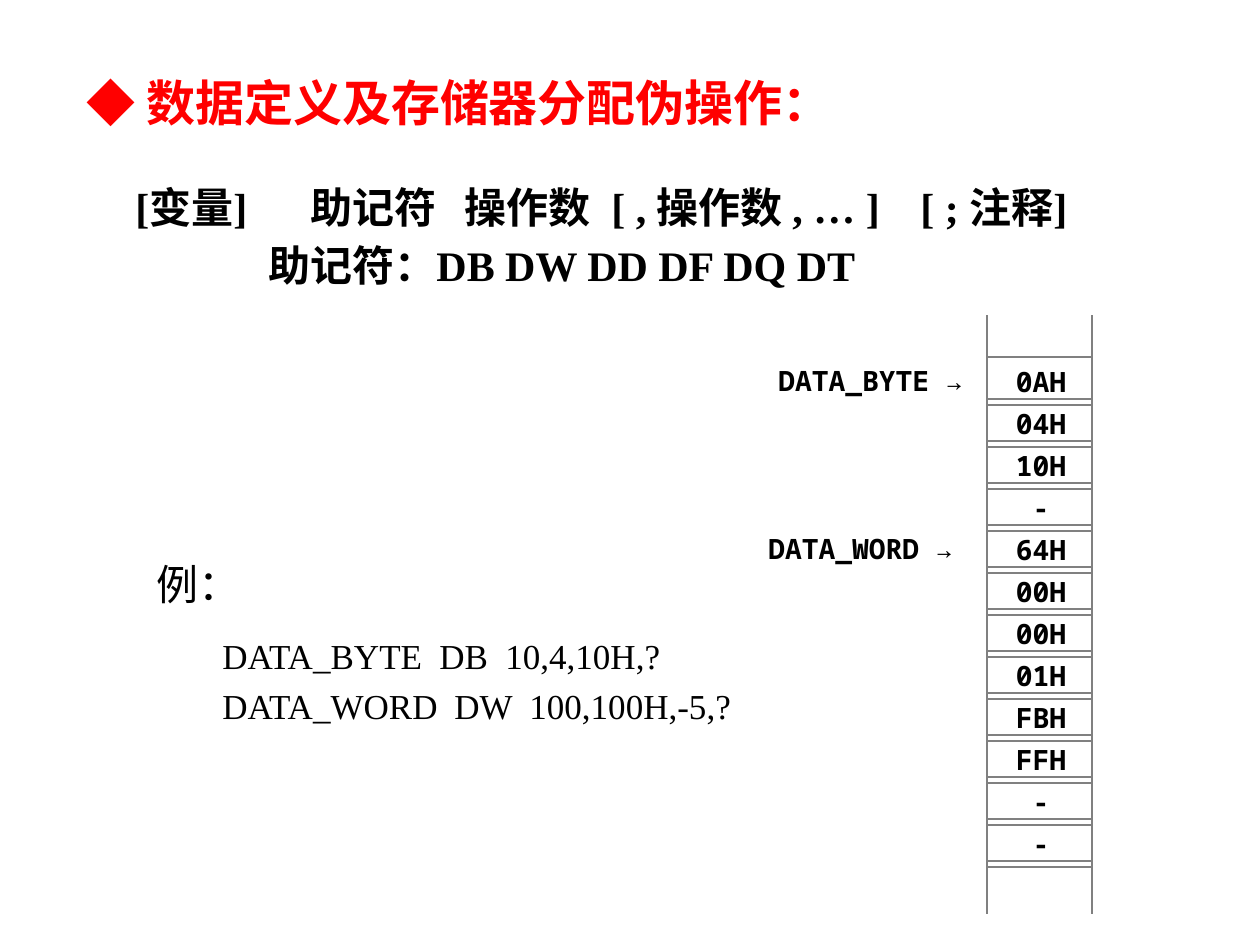
import pptx
import pptx.util
import pptx.dml.color
import pptx.enum.shapes
import pptx.enum.text
import lxml.etree

EMU_PER_PIXEL = 914400 / 126
SERIF = "Times New Roman"
MONO = "Noto Sans Mono"
BLACK = "000000"
RED = "FF0000"
GRAY = "808080"
CELL_VALUES = ["0AH", "04H", "10H", "-", "64H", "00H", "00H", "01H",
               "FBH", "FFH", "-", "-"]


def px(length):
    """Turn pixels into EMU."""
    return pptx.util.Emu(round(length * EMU_PER_PIXEL))


def color(value):
    """Turn a hex string into a colour."""
    return pptx.dml.color.RGBColor.from_string(value)


def format_line(line):
    """Make a line thin and gray."""
    line.color.rgb = color(GRAY)
    line.width = pptx.util.Pt(1)


def format_runs(para, font, size, ink, bold):
    """Set the font of every run in a paragraph."""
    for span in para.runs:
        span.font.name = font
        span.font.size = pptx.util.Pt(size)
        span.font.color.rgb = color(ink)
        span.font.bold = bold


def add_tabs(para, stops):
    """Give a paragraph left tab stops."""
    namespace = "{http://schemas.openxmlformats.org/drawingml/2006/main}"
    properties = para._p.get_or_add_pPr()
    tabs = lxml.etree.SubElement(properties, namespace + "tabLst")
    for stop in stops:
        lxml.etree.SubElement(tabs, namespace + "tab", pos=str(px(stop)), algn="l")


def add_text(page, box, lines, font, size, ink=BLACK, bold=False, spacing=1.0):
    """Add a text box and return its paragraphs."""
    frame = page.shapes.add_textbox(*map(px, box)).text_frame
    frame.word_wrap = True
    frame.text = "\n".join(lines)
    for para in frame.paragraphs:
        para.line_spacing = spacing
        format_runs(para, font, size, ink, bold)
    return frame.paragraphs


def add_syntax(page, box):
    """Add the statement format and the list of mnemonics."""
    lines = ["[变量]\t助记符\t操作数\t[ , 操作数 , … ]\t[ ; 注释]",
             "助记符：DB DW DD DF DQ DT"]
    statement, mnemonics = add_text(page, box, lines, SERIF, 24, bold=True, spacing=1.15)
    add_tabs(statement, [175, 329, 476, 785])
    mnemonics._p.get_or_add_pPr().set("marL", str(px(133)))


def add_example(page, box):
    """Add the example heading and its two definitions."""
    left, top, width, height = box
    add_text(page, (left, top, 168, 63), ["例："], SERIF, 24)
    lines = ["DATA_BYTE\tDB\t10,4,10H,?", "DATA_WORD\tDW\t100,100H,-5,?"]
    code_box = (left + 66, top + 68, width - 66, height - 68)
    paras = add_text(page, code_box, lines, SERIF, 20, spacing=1.2)
    for para, stops in zip(paras, [(217, 283), (232, 307)]):
        add_tabs(para, stops)


def add_cell(group, box, value=""):
    """Add one outlined rectangle with an optional value."""
    cell = group.shapes.add_shape(
        pptx.enum.shapes.MSO_SHAPE.RECTANGLE, *map(px, box))
    cell.shadow.inherit = False
    cell.fill.background()
    format_line(cell.line)
    if value:
        frame = cell.text_frame
        frame.margin_left, frame.margin_right = px(16), px(13)
        frame.vertical_anchor = pptx.enum.text.MSO_ANCHOR.MIDDLE
        frame.text = value
        para = frame.paragraphs[0]
        para.alignment = pptx.enum.text.PP_ALIGN.CENTER
        format_runs(para, MONO, 16, BLACK, True)


def add_side(group, x, top, height):
    """Add one vertical line that continues the memory column."""
    side = group.shapes.add_connector(
        pptx.enum.shapes.MSO_CONNECTOR.STRAIGHT, px(x), px(top), px(x), px(top + height))
    format_line(side.line)
    lxml.etree.SubElement(
        side._element.spPr,
        "{http://schemas.openxmlformats.org/drawingml/2006/main}effectLst")


def add_memory(page, box):
    """Add the memory column with its open ends and address labels."""
    left, top, width, height = box
    step, side_height = 42, 53
    first = top + step
    group = page.shapes.add_group_shape()
    for index, value in enumerate(CELL_VALUES):
        y = first + index * step
        add_cell(group, (left, y, width, step))
        add_cell(group, (left, y, width, step + 6), value)
    for x in (left + width, left):
        for y in (top, top + height - side_height):
            add_side(group, x, y, side_height)
    for name, index, offset in [("DATA_BYTE", 0, 221), ("DATA_WORD", 4, 231)]:
        label_box = (left - offset, first + index * step, 231, 47)
        add_text(page, label_box, [name + " →"], MONO, 16, bold=True)


def main():
    """Build the slide and save it."""
    deck = pptx.Presentation()
    deck.slide_width, deck.slide_height = px(1260), px(945)
    page = deck.slides.add_slide(deck.slide_layouts[6])
    add_text(page, (74, 66, 925, 72), ["◆ 数据定义及存储器分配伪操作："],
             SERIF, 28, RED, True)
    add_syntax(page, (123, 168, 1052, 129))
    add_example(page, (144, 552, 791, 181))
    add_memory(page, (987, 315, 105, 599))
    deck.save("out.pptx")


main()
